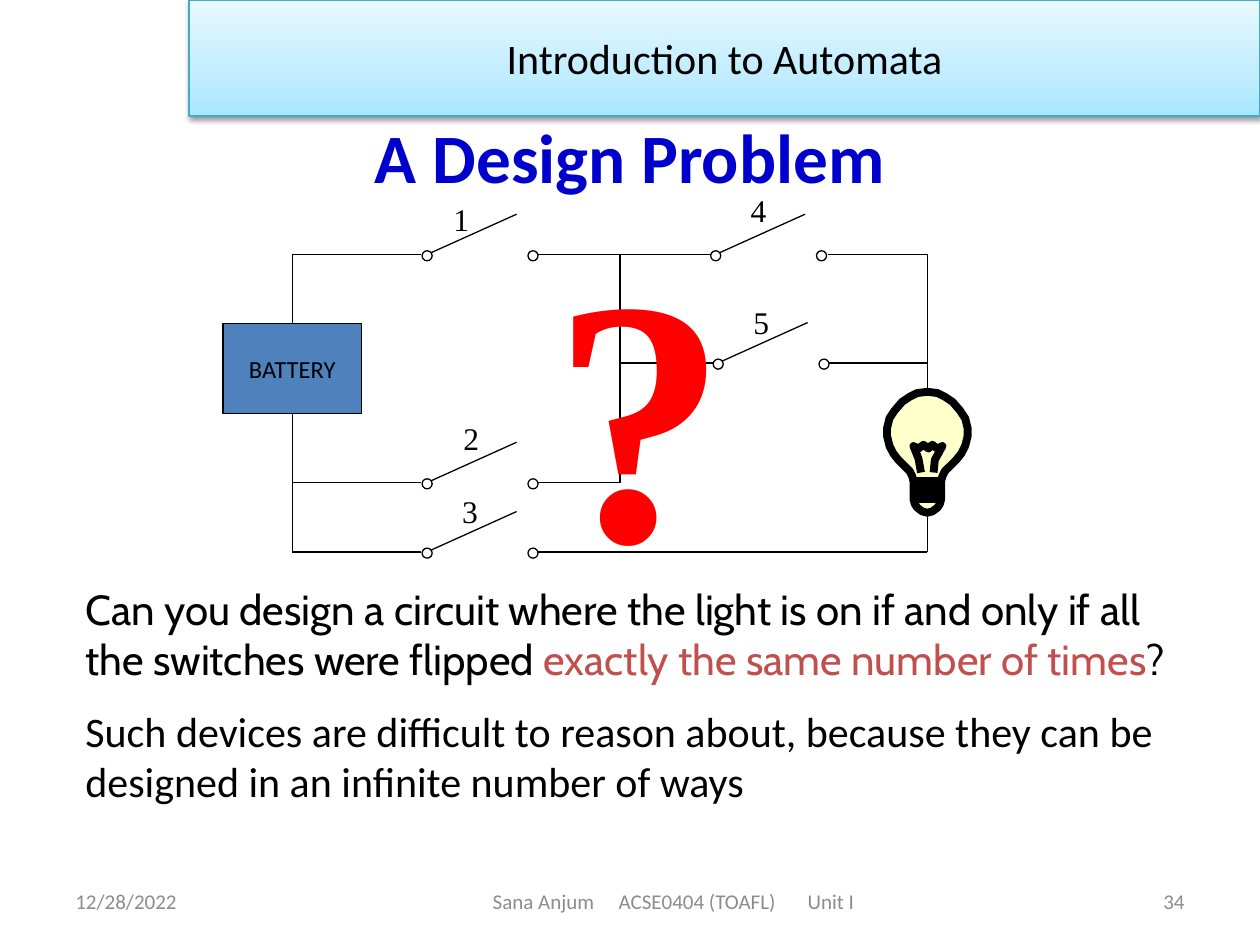
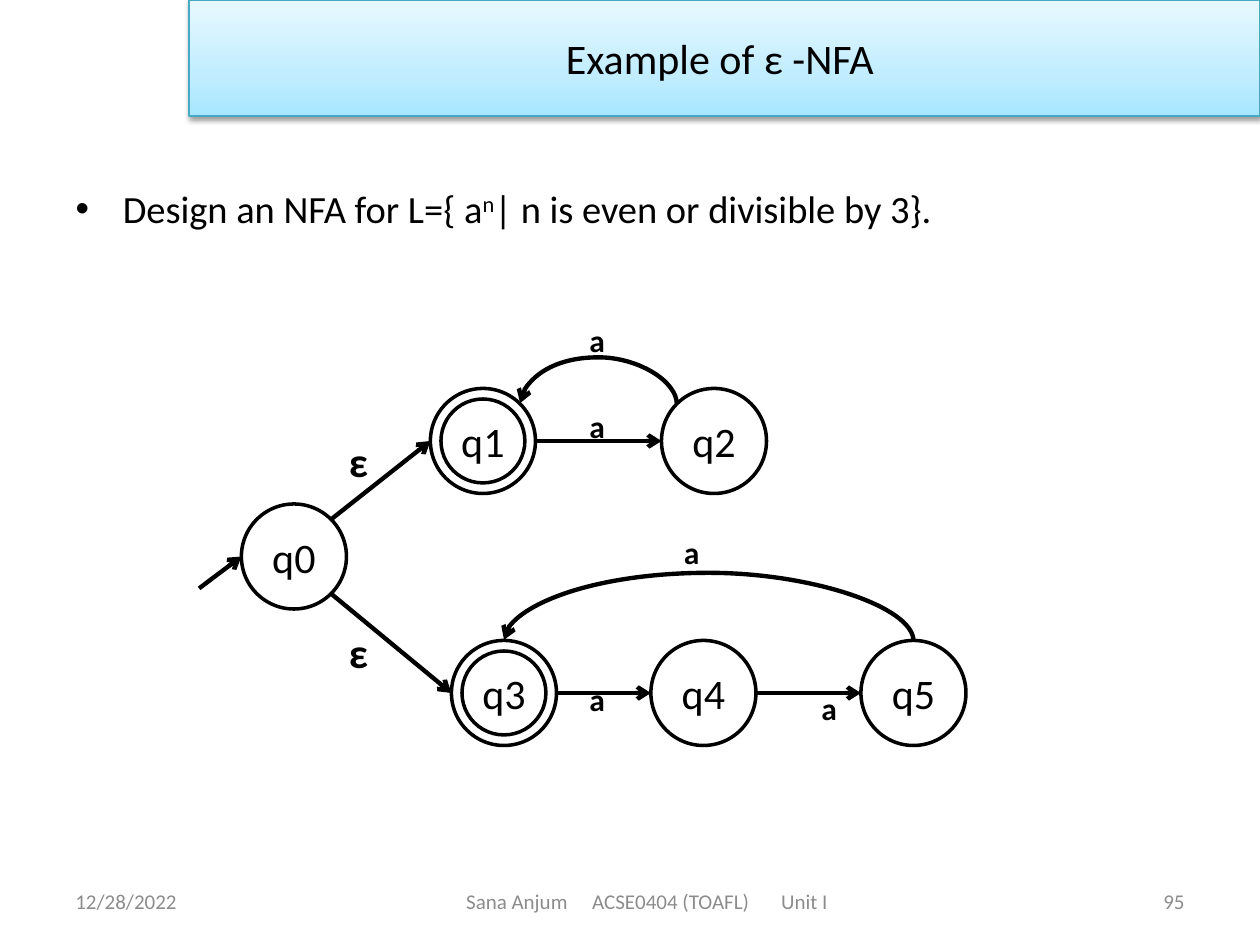
from copy import deepcopy
from dataclasses import dataclass
from math import cos, radians, sin
from typing import NamedTuple

from pptx import Presentation
from pptx.dml.color import RGBColor
from pptx.enum.shapes import MSO_CONNECTOR as Link, MSO_SHAPE as Preset
from pptx.enum.text import MSO_ANCHOR as Anchor, MSO_AUTO_SIZE as AutoSize, PP_ALIGN as Align
from pptx.oxml import parse_xml
from pptx.oxml.ns import nsdecls, qn
from pptx.util import Emu, Inches, Pt

COLORS = {
    "ink": "000000", "title": "0000CC", "accent": "C0504D", "muted": "8C8C8C",
    "battery": "4F81BD", "paper": "FFFFFF", "glass": "FFFFCC", "question": "FF0000",
    "band_line": "46AAC5", "band_low": "A7E6FF", "band_mid": "C1EDFF", "band_high": "E7F8FF",
}
SANS, SERIF, HUMANIST = "Calibri", "Times New Roman", "Cabin"
SLIDE_WIDTH, SLIDE_HEIGHT = Inches(10), Inches(7.5)
COLUMNS = 100
CELL = SLIDE_WIDTH // COLUMNS
BAND = (15, 0, 85, 9.2)
BAND_STOPS = ((0, "band_low"), (0.35, "band_mid"), (1, "band_high"))
FOOTER_TOP, FOOTER_HEIGHT = 69.5, 4
FOOTER_HALF_WIDTH = 18
FOOTER_TABS = (13, 32.2)
RADIUS, INNER_RADIUS = 4.17, 3.33


class Point(NamedTuple):
    """A place on the grid."""
    x: float
    y: float


@dataclass(frozen=True)
class Style:
    """The look of a run of text."""
    size: float
    font: str = SANS
    color: str = "ink"
    bold: bool = False


@dataclass(frozen=True)
class Switch:
    """An open switch: left terminal, height of its wire and place of its number."""
    number: str
    x: float
    wire_y: float
    label: Point


@dataclass(frozen=True)
class State:
    """A state of the automaton."""
    name: str
    center: Point
    accepting: bool = False

    def rim(self, angle: float) -> Point:
        """Return the rim point at an angle in degrees, counted upwards from the right."""
        return Point(self.center.x + RADIUS * cos(radians(angle)),
                     self.center.y - RADIUS * sin(radians(angle)))


SWITCHES = (
    Switch("1", 33.5, 20.2, Point(35, 15.4)),
    Switch("2", 33.5, 38.3, Point(35.8, 32.8)),
    Switch("3", 33.5, 43.8, Point(35.7, 38.6)),
    Switch("4", 56.4, 20.2, Point(58.6, 14.7)),
    Switch("5", 56.6, 28.8, Point(58.8, 23.6)),
)
BATTERY_X, JUNCTION_X, BULB_X = 23.2, 49.2, 73.6
TOP_Y, BRANCH_Y, LOWER_Y, BOTTOM_Y = 20.2, 28.8, 38.3, 43.8
WIRES = (
    *((Point(BATTERY_X, y), Point(33.4, y)) for y in (TOP_Y, LOWER_Y, BOTTOM_Y)),
    *((Point(65.7, y), Point(BULB_X, y)) for y in (TOP_Y, BRANCH_Y)),
    (Point(42.1, TOP_Y), Point(57, TOP_Y)),
    (Point(JUNCTION_X, BRANCH_Y), Point(57, BRANCH_Y)),
    (Point(42.1, LOWER_Y), Point(JUNCTION_X, LOWER_Y)),
    (Point(42.1, BOTTOM_Y), Point(BULB_X, BOTTOM_Y)),
    (Point(JUNCTION_X, TOP_Y), Point(JUNCTION_X, LOWER_Y)),
    (Point(BULB_X, TOP_Y), Point(BULB_X, BOTTOM_Y)),
)
GLASS_HALF = (
    (0, 40.7), (0.4, 40.6), (0.8, 40.3), (1, 40), (1.1, 39.6), (1.1, 38.2), (1.2, 37.8),
    (1.4, 37.4), (2.3, 36.5), (2.7, 36), (3, 35.4), (3.2, 34.6), (3.2, 34), (3, 33.2),
    (2.6, 32.6), (2, 31.9), (1.4, 31.5), (0.8, 31.2), (0, 31.1),
)
GLASS = (*GLASS_HALF, *((-x, y) for x, y in GLASS_HALF[-2:0:-1]))
FILAMENT = ((-0.5, 37.5), (-0.7, 36.4), (-1.1, 35.4), (-0.7, 35.6), (-0.3, 35.3), (0.1, 35.6),
            (0.4, 35.3), (0.8, 35.6), (1.2, 35.4), (0.6, 36.5), (0.5, 37.5))
SOCKET = ((-1.1, 38.2), (1.1, 38.2), (1.1, 38.6), (-1.1, 38.6),
          (-1.1, 39.1), (1.1, 39.1), (1.1, 39.6), (-1, 39.6))

STATES = {state.name: state for state in (
    State("q0", Point(23.33, 44.17)),
    State("q1", Point(38.33, 35), True),
    State("q2", Point(56.67, 35)),
    State("q3", Point(40, 55), True),
    State("q4", Point(55.83, 55)),
    State("q5", Point(72.5, 55)),
)}
STEPS = (("q0", 45, "q1"), ("q0", -45, "q3"), ("q1", 0, "q2"), ("q3", 0, "q4"), ("q4", 0, "q5"))
RETURNS = (("q2", 135, "q1", 45, 3.8), ("q5", 90, "q3", 90, 5.5))
SYMBOLS = (
    ("ε", 24, Point(26.7, 34.1)), ("ε", 24, Point(26.7, 49.2)),
    ("a", 18, Point(45.8, 25)), ("a", 18, Point(45.8, 31.8)), ("a", 18, Point(53.3, 41.8)),
    ("a", 18, Point(45.8, 53.5)), ("a", 18, Point(64.2, 54.2)),
)


def cells(count: float) -> Emu:
    """Convert grid cells to a length."""
    return Emu(round(count * CELL))


def rgb(name: str) -> RGBColor:
    """Look up a colour."""
    return RGBColor.from_string(COLORS[name])


def format_runs(paragraph, *styles: Style) -> None:
    """Give each run of a paragraph its style."""
    for run, style in zip(paragraph.runs, styles):
        run.font.size, run.font.name, run.font.bold = Pt(style.size), style.font, style.bold
        run.font.color.rgb = rgb(style.color)


def write(shape, text: str, style: Style, align=Align.LEFT, anchor=Anchor.TOP) -> None:
    """Write one styled paragraph into a shape."""
    frame = shape.text_frame
    frame.text = text
    frame.vertical_anchor = anchor
    frame.paragraphs[0].alignment = align
    format_runs(frame.paragraphs[0], style)


def place(shape, x: float, y: float, width: float, height: float) -> None:
    """Move a shape to a grid position."""
    shape.left, shape.top, shape.width, shape.height = map(cells, (x, y, width, height))


def add_box(slide, x: float, y: float, width: float, height: float, wrap=True, grow=True):
    """Add an empty text box."""
    box = slide.shapes.add_textbox(*map(cells, (x, y, width, height)))
    box.text_frame.word_wrap = wrap
    box.text_frame.auto_size = AutoSize.SHAPE_TO_FIT_TEXT if grow else AutoSize.NONE
    return box


def paint(shape, fill: str | None, line: str, weight: float) -> None:
    """Give a shape a flat fill or none, and an outline."""
    shape.shadow.inherit = False
    if fill:
        shape.fill.solid()
        shape.fill.fore_color.rgb = rgb(fill)
    else:
        shape.fill.background()
    shape.line.color.rgb, shape.line.width = rgb(line), Pt(weight)


def add_circle(slide, center: Point, radius: float, fill: str | None, weight: float):
    """Add a circle around a point."""
    circle = slide.shapes.add_shape(Preset.OVAL, *map(cells, (
        center.x - radius, center.y - radius, 2 * radius, 2 * radius)))
    paint(circle, fill, "ink", weight)
    return circle


def add_line(slide, start: Point, end: Point, weight=0.75, arrow=False, kind=Link.STRAIGHT):
    """Add a connector, with an arrowhead at its end if asked."""
    line = slide.shapes.add_connector(kind, *map(cells, (*start, *end)))
    line.line.color.rgb, line.line.width = rgb("ink"), Pt(weight)
    properties = line.element.spPr
    if arrow:
        properties.find(qn("a:ln")).append(parse_xml(f'<a:tailEnd {nsdecls("a")} type="arrow"/>'))
    properties.append(parse_xml(f'<a:effectLst {nsdecls("a")}/>'))
    return line


def add_return(slide, start: Point, end: Point, rise: float) -> None:
    """Add an arched arrow from right to left."""
    depth, span = 0.1, start.x - end.x
    arch = add_line(slide, start, end, 2.5, True, Link.CURVE)
    place(arch, (start.x + end.x - depth) / 2, (start.y + end.y - span) / 2, depth, span)
    properties = arch.element.spPr
    frame = properties.find(qn("a:xfrm"))
    frame.attrib.pop("flipH", None)
    frame.set("rot", "16200000")
    frame.set("flipV", "1")
    geometry = properties.find(qn("a:prstGeom"))
    geometry.replace(geometry.find(qn("a:avLst")), parse_xml(
        f'<a:avLst {nsdecls("a")}><a:gd name="adj1" fmla="val {round(rise / depth * 100000)}"/>'
        "</a:avLst>"))


def add_bulb_part(slide, points, closed=False, fill: str | None = None) -> None:
    """Add a thick outline placed around the axis of the bulb."""
    corners = [(cells(BULB_X + x), cells(y)) for x, y in points]
    builder = slide.shapes.build_freeform(*corners[0])
    builder.add_line_segments(corners[1:], close=closed)
    paint(builder.convert_to_shape(), fill, "ink", 4.5)


def style_band(shape, text: str) -> None:
    """Turn a shape into the heading band."""
    place(shape, *BAND)
    shape.shadow.inherit = False
    shape.fill.gradient()
    shape.fill.gradient_angle = 90
    properties = shape.element.spPr
    stops = properties.find(f'.//{qn("a:gsLst")}')
    stops.append(deepcopy(stops[0]))
    for stop, (position, color) in zip(shape.fill.gradient_stops, BAND_STOPS):
        stop.position, stop.color.rgb = position, rgb(color)
    shape.line.color.rgb, shape.line.width = rgb("band_line"), Pt(0.75)
    properties.find(qn("a:effectLst")).append(parse_xml(
        f'<a:outerShdw {nsdecls("a")} blurRad="40000" dist="20000" dir="5400000" rotWithShape="0">'
        '<a:srgbClr val="000000"><a:alpha val="38000"/></a:srgbClr></a:outerShdw>'))
    shape.text_frame.auto_size = AutoSize.NONE
    write(shape, text, Style(24), Align.CENTER, Anchor.MIDDLE)


def add_footer(slide, number: str, left: float, width: float) -> None:
    """Add the date, the course line and the page number."""
    muted = Style(12, color="muted")
    for text, x, align in (("12/28/2022", 5, Align.LEFT), (number, 71.7, Align.RIGHT)):
        box = add_box(slide, x, FOOTER_TOP, 23.3, FOOTER_HEIGHT, grow=False)
        write(box, text, muted, align, Anchor.MIDDLE)
    course = add_box(slide, left, FOOTER_TOP, width, FOOTER_HEIGHT, grow=False)
    course.text_frame.margin_left = cells(width / 2 - FOOTER_HALF_WIDTH)
    tabs = "".join(f'<a:tab pos="{cells(tab)}" algn="l"/>' for tab in FOOTER_TABS)
    course.text_frame.paragraphs[0]._p.get_or_add_pPr().append(
        parse_xml(f'<a:tabLst {nsdecls("a")}>{tabs}</a:tabLst>'))
    write(course, "Sana Anjum\tACSE0404 (TOAFL)\tUnit I", muted, anchor=Anchor.MIDDLE)


def draw_circuit(slide) -> None:
    """Draw the battery, the wires, the switches and the bulb."""
    battery = slide.shapes.add_shape(Preset.RECTANGLE, *map(cells, (17.7, 25.7, 11, 7.1)))
    paint(battery, "battery", "ink", 0.75)
    battery.text_frame.word_wrap = False
    write(battery, "BATTERY", Style(14), Align.CENTER, Anchor.MIDDLE)
    for side, y, wire_y in ((0, 25.7, TOP_Y), (2, 32.8, BOTTOM_Y)):
        lead = add_line(slide, Point(BATTERY_X, y), Point(BATTERY_X, wire_y))
        lead.begin_connect(battery, side)
    for start, end in WIRES:
        add_line(slide, start, end)
    for switch in SWITCHES:
        add_line(slide, Point(switch.x + 0.4, switch.wire_y),
                 Point(switch.x + 7.5, switch.wire_y - 3.2))
        for offset in (0.4, 8.8):
            add_circle(slide, Point(switch.x + offset, switch.wire_y + 0.1), 0.4, "paper", 0.75)
        write(add_box(slide, *switch.label, 3.2, 4, wrap=False), switch.number, Style(18, SERIF))
    add_bulb_part(slide, GLASS, True, "glass")
    add_bulb_part(slide, FILAMENT)
    add_bulb_part(slide, SOCKET)


def build_design_problem(deck) -> None:
    """Build the slide about the circuit."""
    slide = deck.slides.add_slide(deck.slide_layouts[5])
    title = slide.shapes.title
    place(title, 5, 9.2, 90, 6.3)
    title.text_frame.auto_size = AutoSize.NONE
    write(title, "A Design Problem", Style(39.6, color="title", bold=True),
          Align.CENTER, Anchor.MIDDLE)
    draw_circuit(slide)
    question = add_box(slide, 5.8, 45.8, 90.6, 26.3).text_frame
    task, remark = question.paragraphs[0], question.add_paragraph()
    for text in ("Can you design a circuit where the light is on if and only if all "
                 "the switches were flipped ", "exactly the same number of times", "?"):
        task.add_run().text = text
    plain = Style(24, HUMANIST)
    format_runs(task, plain, Style(24, HUMANIST, "accent"), plain)
    remark.text = ("Such devices are difficult to reason about, because they can be "
                   "designed in an infinite number of ways")
    remark.space_before = Pt(12)
    format_runs(remark, Style(24))
    write(add_box(slide, 42.9, 14.7, 13.6, 34.3, wrap=False), "?",
          Style(200, SERIF, "question", True))
    style_band(slide.shapes.add_shape(Preset.RECTANGLE, 0, 0, CELL, CELL),
               "Introduction to Automata")
    add_footer(slide, "34", 34.2, 45.8)


def build_epsilon_nfa(deck) -> None:
    """Build the slide about the automaton."""
    slide = deck.slides.add_slide(deck.slide_layouts[1])
    style_band(slide.shapes.title, "Example of ε -NFA ")
    body = slide.placeholders[1]
    place(body, 5, 14.2, 90, 33.3)
    body.text_frame.auto_size = AutoSize.NONE
    task = body.text_frame.paragraphs[0]
    task.space_before = Pt(0)
    for text in ("Design an NFA for L={ a", "n", "| n is even or divisible by 3}."):
        task.add_run().text = text
    format_runs(task, *[Style(22)] * 3)
    task.runs[1]._r.get_or_add_rPr().set("baseline", "30000")
    for state in STATES.values():
        circle = add_circle(slide, state.center, RADIUS, None, 2)
        write(circle, state.name, Style(24), Align.CENTER, Anchor.MIDDLE)
        if state.accepting:
            add_circle(slide, state.center, INNER_RADIUS, None, 2)
    add_line(slide, Point(15.8, 46.7), STATES["q0"].rim(180), 2.5, True)
    for source, angle, target in STEPS:
        add_line(slide, STATES[source].rim(angle), STATES[target].rim(180), 2.5, True)
    for source, leave, target, arrive, rise in RETURNS:
        add_return(slide, STATES[source].rim(leave), STATES[target].rim(arrive), rise)
    for symbol, size, corner in SYMBOLS:
        write(add_box(slide, *corner, 5.8, size / 6 + 1), symbol, Style(size, bold=True))
    add_footer(slide, "95", 27.5, 55)


def main() -> None:
    """Build and save the deck."""
    deck = Presentation()
    deck.slide_width, deck.slide_height = SLIDE_WIDTH, SLIDE_HEIGHT
    build_design_problem(deck)
    build_epsilon_nfa(deck)
    deck.save("out.pptx")


if __name__ == "__main__":
    main()
